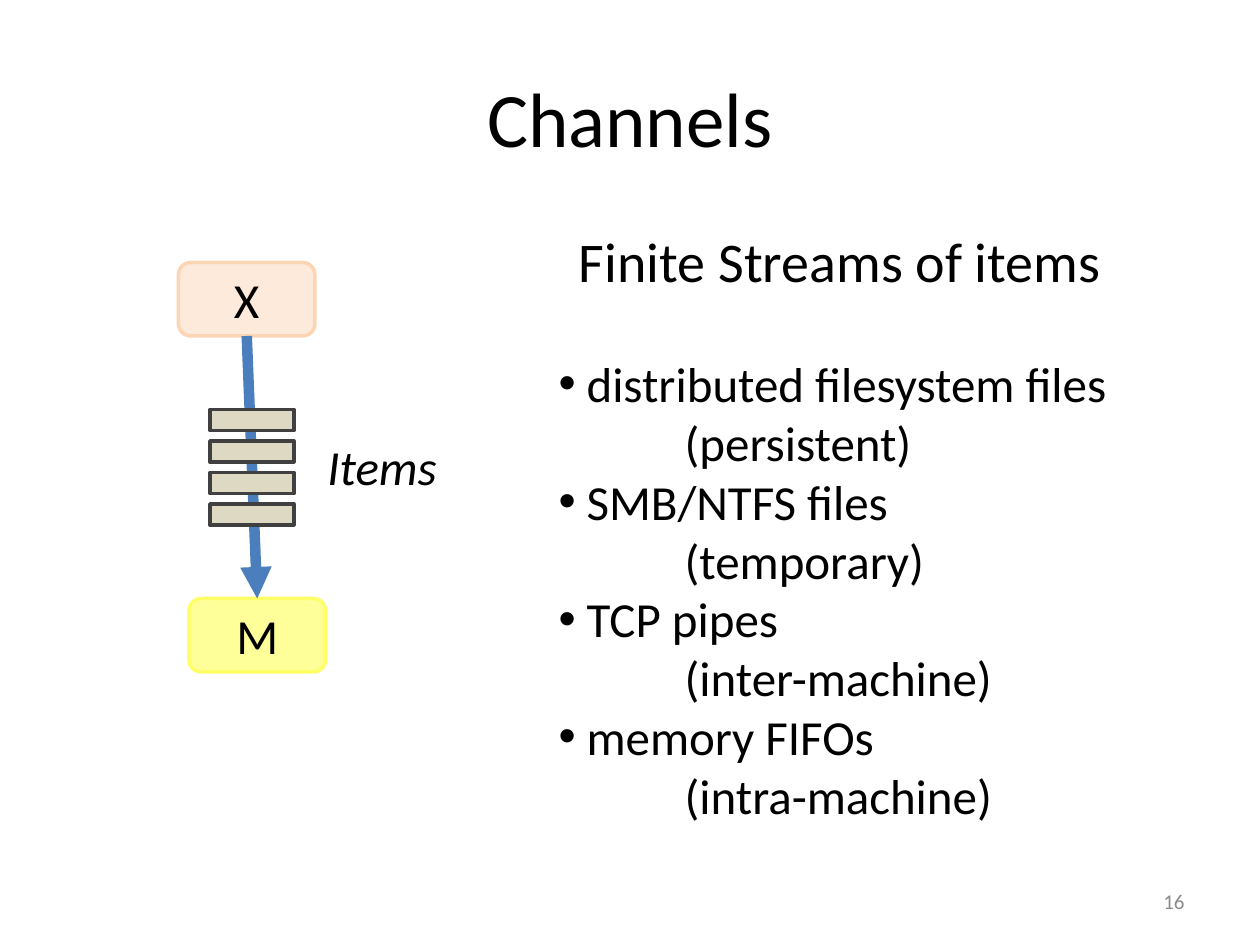
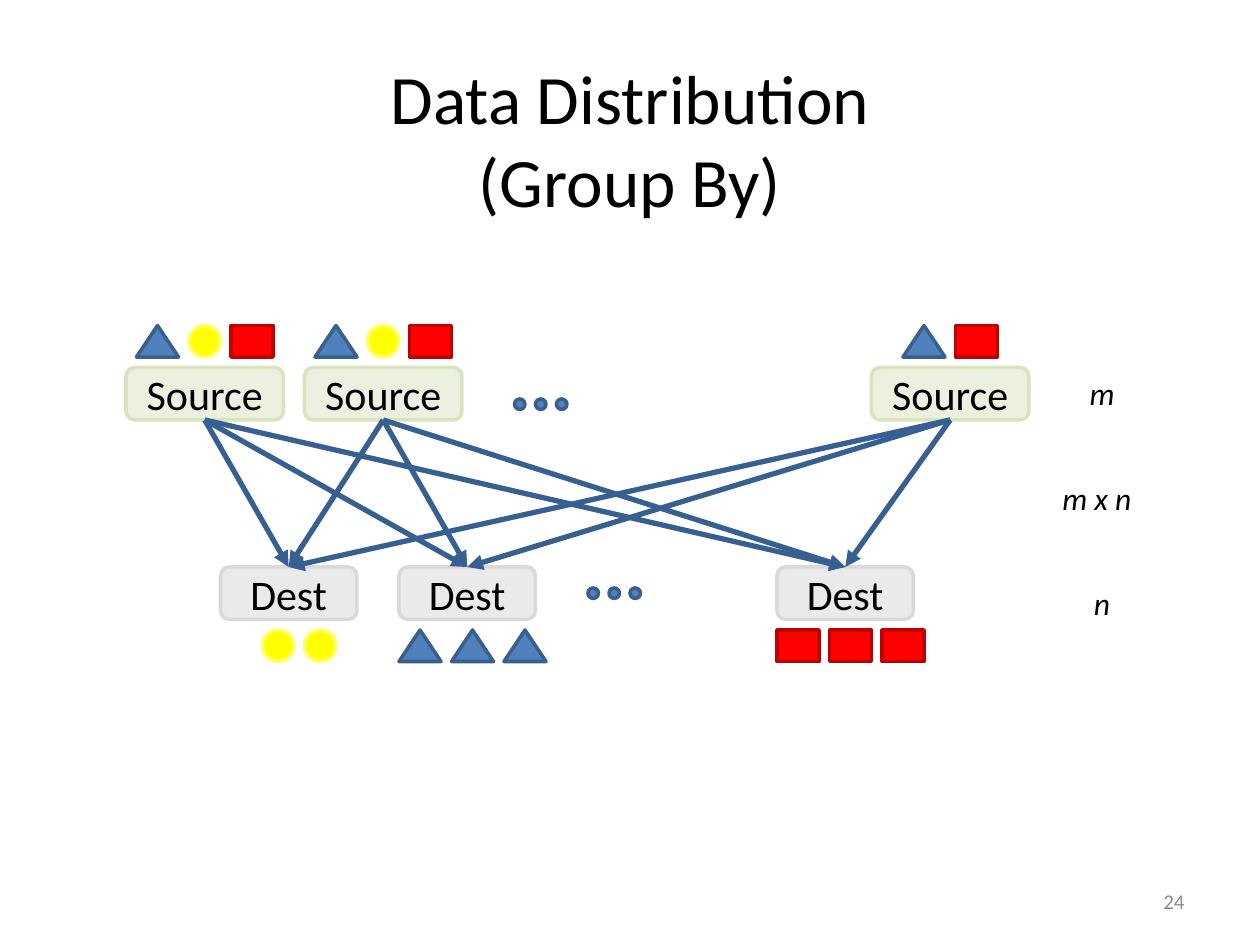
from itertools import product

from lxml.etree import SubElement
from pptx import Presentation
from pptx.dml.color import RGBColor as Rgb
from pptx.enum.shapes import MSO_CONNECTOR as Link, MSO_SHAPE as Form
from pptx.enum.text import MSO_ANCHOR as Anchor, MSO_AUTO_SIZE as Fit, PP_ALIGN as Align
from pptx.oxml.ns import qn
from pptx.util import Pt

THEME = {
    "font": "Calibri",
    "ink": "000000",
    "grey": "8C8C8C",
    "edge": 2,
    "size": {"title": 44, "pair": 39.6, "head": 32, "text": 28,
             "node": 24, "label": 18, "page": 12},
    "fill": {
        "peach": ("FDEADA", "FCD5B5"),
        "lemon": ("FFFF99", "FFFF66"),
        "sand": ("DDD9C3", "404040"),
        "green": ("EBF1DE", "D7E4BD"),
        "mist": ("EAEAEA", "D9D9D9"),
        "blue": ("4F81BD", "3A5F8C"),
        "yellow": ("FFFF00", "FFFF66"),
        "red": ("FF0000", "C00000"),
    },
    "flow": {"wide": ("4B7EBC", 6), "thin": ("376092", 3)},
}
SIZE = THEME["size"]

HEAD = "Finite Streams of items"
KINDS = [
    ("distributed filesystem files", "(persistent)"),
    ("SMB/NTFS files", "(temporary)"),
    ("TCP pipes", "(inter-machine)"),
    ("memory FIFOs", "(intra-machine)"),
]
ENDS = [("X", (102, 150, 78, 42), "peach"), ("M", (108, 342, 78, 42), "lemon")]
BARS = {"count": 4, "box": (120, 234, 48, 12), "step": 18}

TOKENS = {
    "tri": (Form.ISOSCELES_TRIANGLE, 24, "blue"),
    "disc": (Form.OVAL, 18, "yellow"),
    "block": (Form.RECTANGLE, 24, "red"),
}
ROWS = {
    "Source": {
        "top": 210, "wide": 90, "tone": "green", "items": 186, "dots": (294, 228),
        "nodes": [(72, 6, ["tri", "disc", "block"]),
                  (174, 6, ["tri", "disc", "block"]),
                  (498, 18, ["tri", "block"])],
    },
    "Dest": {
        "top": 324, "wide": 78, "tone": "mist", "items": 360, "dots": (336, 336),
        "nodes": [(126, 24, ["disc"] * 2),
                  (228, 0, ["tri"] * 3),
                  (444, 0, ["block"] * 3)],
    },
}
NODE, TOKEN, GAP = 30, 18, 6
DOT, PITCH = 6, 12
LABELS = [("m", (615.6, 210, 29, 29)), ("m x n", (600, 270, 60, 29)),
          ("n", (618, 330, 24, 29))]


def paint(run, size, tone=THEME["ink"], italic=False):
    style = {"name": THEME["font"], "size": Pt(size), "italic": italic}
    for key, value in style.items():
        setattr(run.font, key, value)
    run.font.color.rgb = Rgb.from_string(tone)


def place(shape, box):
    for key, value in zip(("left", "top", "width", "height"), box):
        setattr(shape, key, Pt(value))


def write(frame, text, size, align=Align.CENTER, anchor=Anchor.MIDDLE, **look):
    style = {"text": text, "word_wrap": True, "auto_size": Fit.NONE,
             "vertical_anchor": anchor}
    for key, value in style.items():
        setattr(frame, key, value)
    for para in frame.paragraphs:
        para.alignment = align
        for run in para.runs:
            paint(run, size, **look)


def add_form(slide, form, box, tone, text=""):
    shape = slide.shapes.add_shape(form, *map(Pt, box))
    shape.shadow.inherit = False
    fill, edge = THEME["fill"][tone]
    shape.fill.solid()
    shape.fill.fore_color.rgb = Rgb.from_string(fill)
    shape.line.color.rgb = Rgb.from_string(edge)
    shape.line.width = Pt(THEME["edge"])
    if text:
        write(shape.text_frame, text, SIZE["text" if len(text) == 1 else "node"])
    return shape


def add_label(slide, text, box, size, **look):
    label = slide.shapes.add_textbox(*map(Pt, box))
    write(label.text_frame, text, size, **look)


def add_flow(slide, start, end, kind):
    line = slide.shapes.add_connector(
        Link.STRAIGHT,
        start.left + start.width // 2, start.top + start.height,
        end.left + end.width // 2, end.top)
    tone, width = THEME["flow"][kind]
    line.line.color.rgb = Rgb.from_string(tone)
    line.line.width = Pt(width)
    SubElement(line.line._get_or_add_ln(), qn("a:tailEnd"), type="triangle")
    SubElement(line._element.spPr, qn("a:effectLst"))


def add_page(deck, layout, title, box, size, number):
    slide = deck.slides.add_slide(deck.slide_layouts[layout])
    place(slide.shapes.title, box)
    write(slide.shapes.title.text_frame, title, size)
    add_label(slide, number, (516, 500.4, 168, 28.8), SIZE["page"],
              align=Align.RIGHT, tone=THEME["grey"])
    return slide


def add_line(para, text, size, left=0, hang=0, before=0, align=Align.LEFT):
    props = para._p.get_or_add_pPr()
    props.set("marL", str(Pt(left)))
    props.set("indent", str(-Pt(hang)))
    if hang:
        SubElement(props, qn("a:buFont"), typeface="Arial")
        SubElement(props, qn("a:buChar"), char="•")
    else:
        SubElement(props, qn("a:buNone"))
    para.alignment = align
    para.space_before = Pt(before)
    run = para.add_run()
    run.text = text
    paint(run, size)


def draw_list(slide):
    body = slide.placeholders[1]
    place(body, (312, 126, 336, 351))
    frame = body.text_frame
    frame.auto_size = Fit.NONE
    add_line(frame.paragraphs[0], HEAD, SIZE["head"], align=Align.CENTER)
    for rank, (name, note) in enumerate(KINDS):
        add_line(frame.add_paragraph(), name, SIZE["text"], 16, 16,
                 0 if rank else 34)
        add_line(frame.add_paragraph(), note, SIZE["text"], 72)


def draw_stream(slide):
    first, last = [add_form(slide, Form.ROUNDED_RECTANGLE, box, tone, name)
                   for name, box, tone in ENDS]
    add_flow(slide, first, last, "wide")
    left, top, wide, high = BARS["box"]
    for rank in range(BARS["count"]):
        add_form(slide, Form.RECTANGLE,
                 (left, top + rank * BARS["step"], wide, high), "sand")
    add_label(slide, "Items", (180, 246, 78, 41), SIZE["text"],
              align=Align.LEFT, anchor=Anchor.TOP, italic=True)


def draw_row(slide, name, row):
    nodes = []
    for left, shift, items in row["nodes"]:
        nodes.append(add_form(slide, Form.ROUNDED_RECTANGLE,
                              (left, row["top"], row["wide"], NODE),
                              row["tone"], name))
        spot = left + shift
        for item in items:
            form, wide, tone = TOKENS[item]
            add_form(slide, form, (spot, row["items"], wide, TOKEN), tone)
            spot += wide + GAP
    left, top = row["dots"]
    for rank in range(3):
        add_form(slide, Form.OVAL, (left + rank * PITCH, top, DOT, DOT), "blue")
    return nodes


def main():
    deck = Presentation()
    deck.slide_width, deck.slide_height = Pt(720), Pt(540)

    slide = add_page(deck, 1, "Channels", (36, 21.6, 648, 90), SIZE["title"], "16")
    draw_list(slide)
    draw_stream(slide)

    slide = add_page(deck, 5, "Data Distribution\n(Group By)",
                     (36, 24, 648, 110), SIZE["pair"], "24")
    rows = [draw_row(slide, name, row) for name, row in ROWS.items()]
    for start, end in product(*rows):
        add_flow(slide, start, end, "thin")
    for text, box in LABELS:
        add_label(slide, text, box, SIZE["label"], align=Align.LEFT,
                  anchor=Anchor.TOP, italic=True)

    deck.save("out.pptx")


if __name__ == "__main__":
    main()
